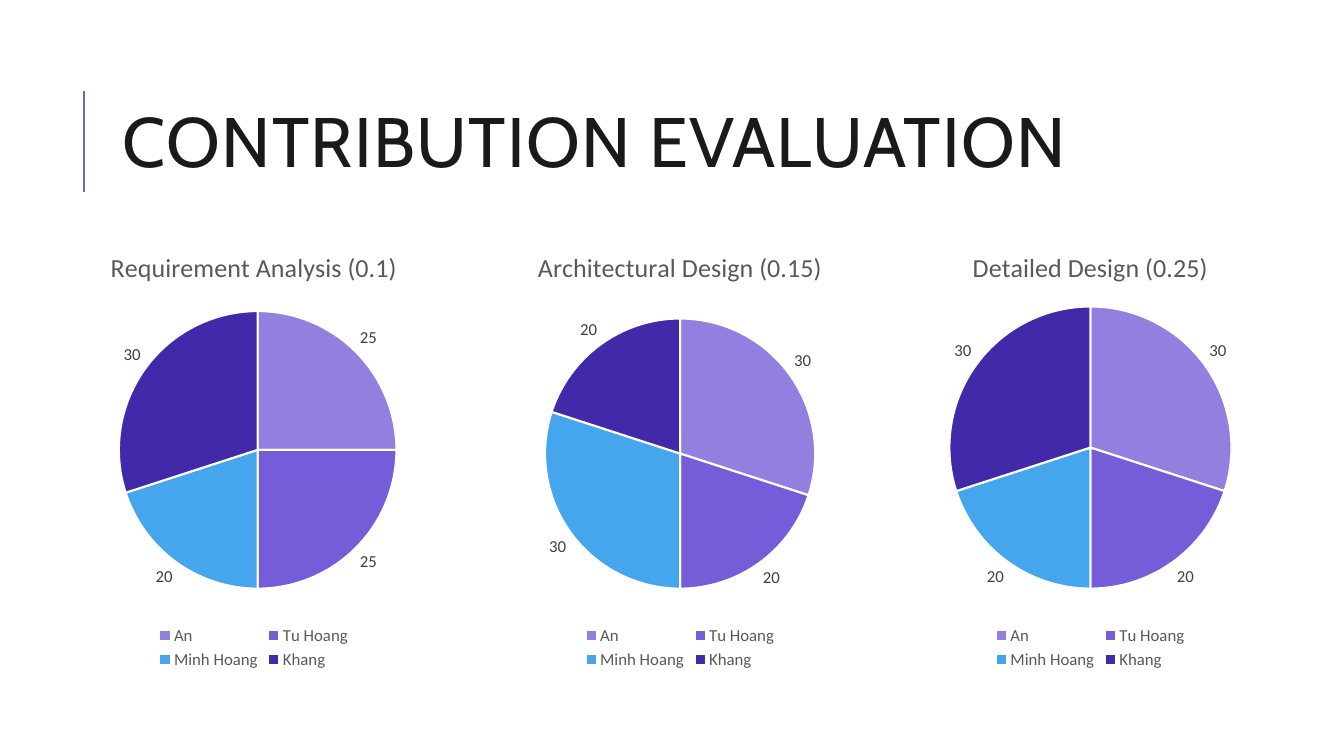
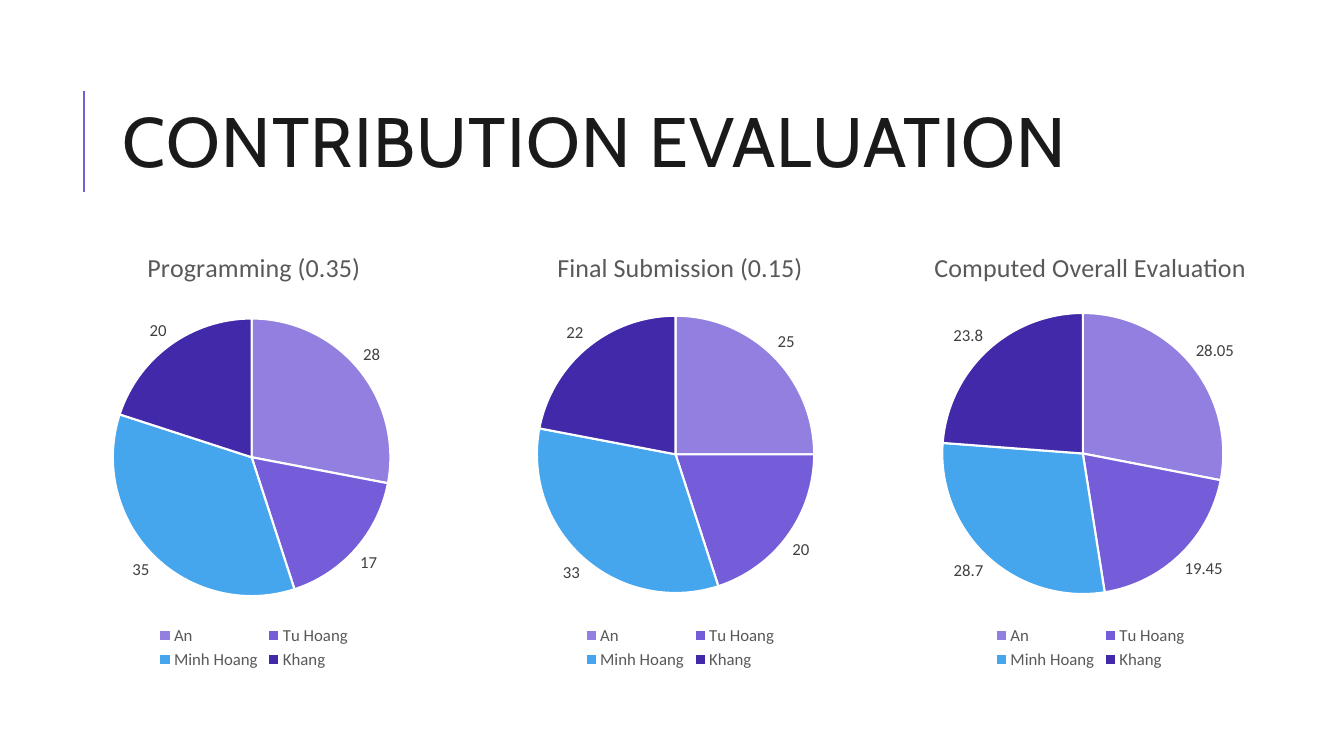
import pptx
import pptx.chart.data
import pptx.dml.color
import pptx.enum.chart
import pptx.enum.shapes
import pptx.enum.text
import pptx.util
from lxml import etree
from pptx.util import Cm

# Shared look
HEAD, BODY = "Cabin", "Calibri"
INK, GREY, DARK, WHITE = "1A1A1A", "595959", "404040", "FFFFFF"
ACCENT = "755DD9"
SLICES = ["927FE0", ACCENT, "45A5ED", "4229AA"]
NAMES = ["An", "Tu Hoang", "Minh Hoang", "Khang"]
LEFTS = [1.02, 11.76, 22.1]

# Content: chart title and shares, three to a slide
SLIDES = [
    [("Requirement Analysis (0.1)", [25, 25, 20, 30]),
     ("Architectural Design (0.15)", [30, 20, 30, 20]),
     ("Detailed Design (0.25)", [30, 20, 20, 30])],
    [("Programming (0.35)", [28, 17, 35, 20]),
     ("Final Submission (0.15)", [25, 20, 33, 22]),
     ("Computed Overall Evaluation", [28.05, 19.45, 28.7, 23.8])],
]


def color(code):
    return pptx.dml.color.RGBColor.from_string(code)


def style(font, size, code, face=BODY):
    font.size = pptx.util.Pt(size)
    font.name = face
    font.bold = False
    font.color.rgb = color(code)


def write(frame, text, size=12, code=GREY, face=BODY, space=None, track=None):
    """Put one formatted line of text in a frame."""
    para = frame.paragraphs[0]
    para.line_spacing = space
    run = para.add_run()
    run.text = text
    style(run.font, size, code, face)
    if track:
        run.font._element.set("spc", str(track * 100))
    return para


def add_rule(slide):
    """Draw the accent line left of the title."""
    rule = slide.shapes.add_connector(
        pptx.enum.shapes.MSO_CONNECTOR.STRAIGHT,
        Cm(2.12), Cm(4.83), Cm(2.12), Cm(2.29))
    rule.line.color.rgb = color(ACCENT)
    rule.line.width = pptx.util.Pt(1.5)
    etree.SubElement(rule._element.spPr, pptx.oxml.ns.qn("a:effectLst"))


def set_title(slide, text):
    title = slide.shapes.title
    title.left, title.top = Cm(2.84), Cm(1.63)
    title.width, title.height = Cm(27), Cm(4.17)
    frame = title.text_frame
    frame.word_wrap = True
    frame.auto_size = pptx.enum.text.MSO_AUTO_SIZE.NONE
    frame.vertical_anchor = pptx.enum.text.MSO_ANCHOR.MIDDLE
    para = write(frame, text, size=50, code=INK, face=HEAD, space=0.8, track=1)
    para.alignment = pptx.enum.text.PP_ALIGN.LEFT


def add_pie(slide, left, title, shares):
    data = pptx.chart.data.CategoryChartData()
    data.categories = NAMES
    data.add_series("Series 1", shares)
    chart = slide.shapes.add_chart(
        pptx.enum.chart.XL_CHART_TYPE.PIE,
        Cm(left), Cm(5.8), Cm(10.76), Cm(11.18), data).chart
    style(chart.font, 10, "000000")

    # Title and legend
    chart.has_title = True
    write(chart.chart_title.text_frame, title, size=18.6)
    chart.has_legend = True
    chart.legend.position = pptx.enum.chart.XL_LEGEND_POSITION.BOTTOM
    chart.legend.include_in_layout = False
    style(chart.legend.font, 12, GREY)

    # Slices and their values
    plot = chart.plots[0]
    plot.vary_by_categories = True
    for spot, code in enumerate(SLICES):
        part = plot.series[0].points[spot].format
        part.fill.solid()
        part.fill.fore_color.rgb = color(code)
        part.line.color.rgb = color(WHITE)
        part.line.width = pptx.util.Pt(1.5)
    plot.has_data_labels = True
    labels = plot.data_labels
    labels.show_value = True
    labels.show_percentage = False
    labels.position = pptx.enum.chart.XL_LABEL_POSITION.OUTSIDE_END
    style(labels.font, 12, DARK)


def main():
    deck = pptx.Presentation()
    deck.slide_width, deck.slide_height = Cm(33.87), Cm(19.05)
    for pies in SLIDES:
        slide = deck.slides.add_slide(deck.slide_layouts[5])
        add_rule(slide)
        set_title(slide, "CONTRIBUTION EVALUATION")
        for left, (title, shares) in zip(LEFTS, pies):
            add_pie(slide, left, title, shares)
    deck.save("out.pptx")


if __name__ == "__main__":
    main()
